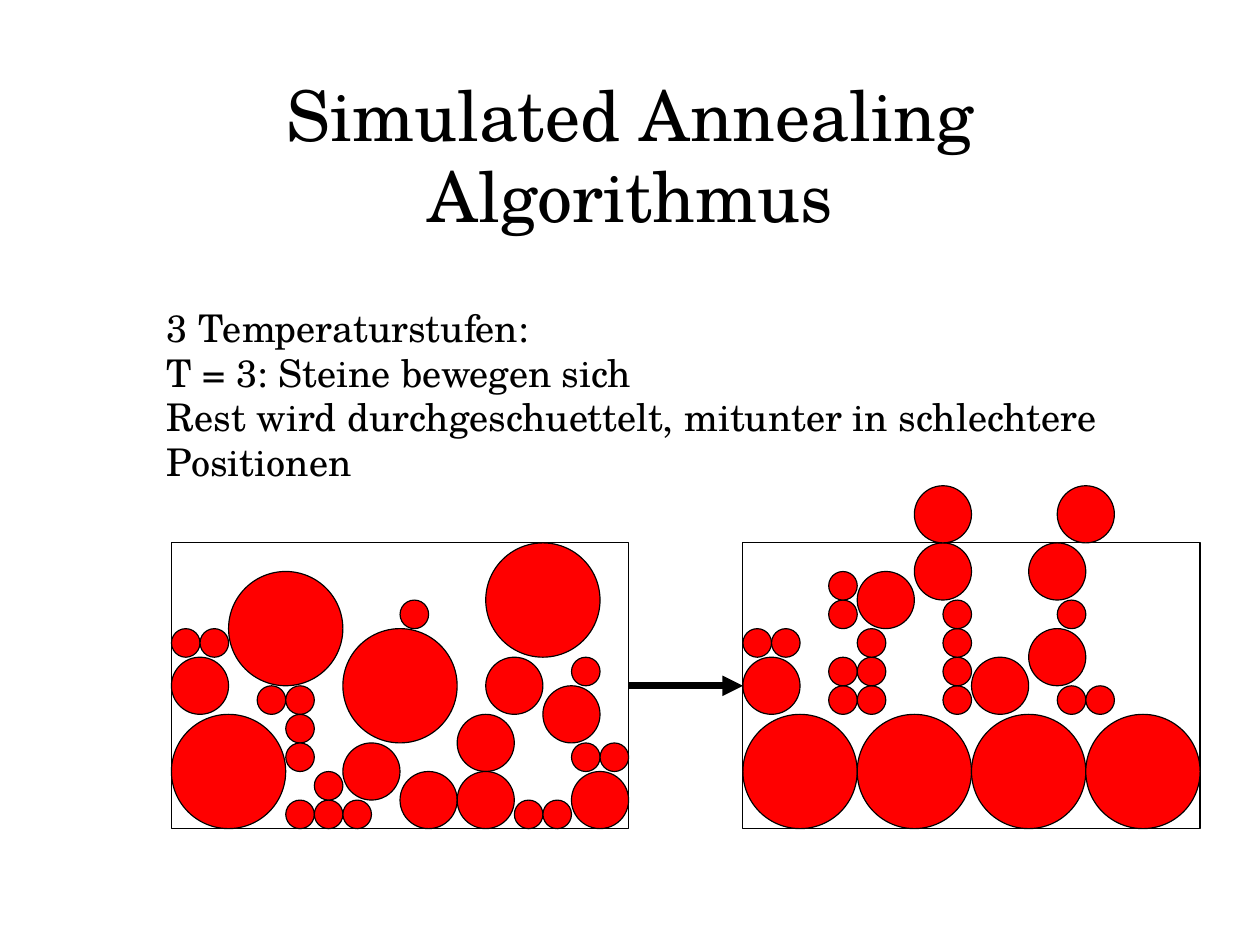
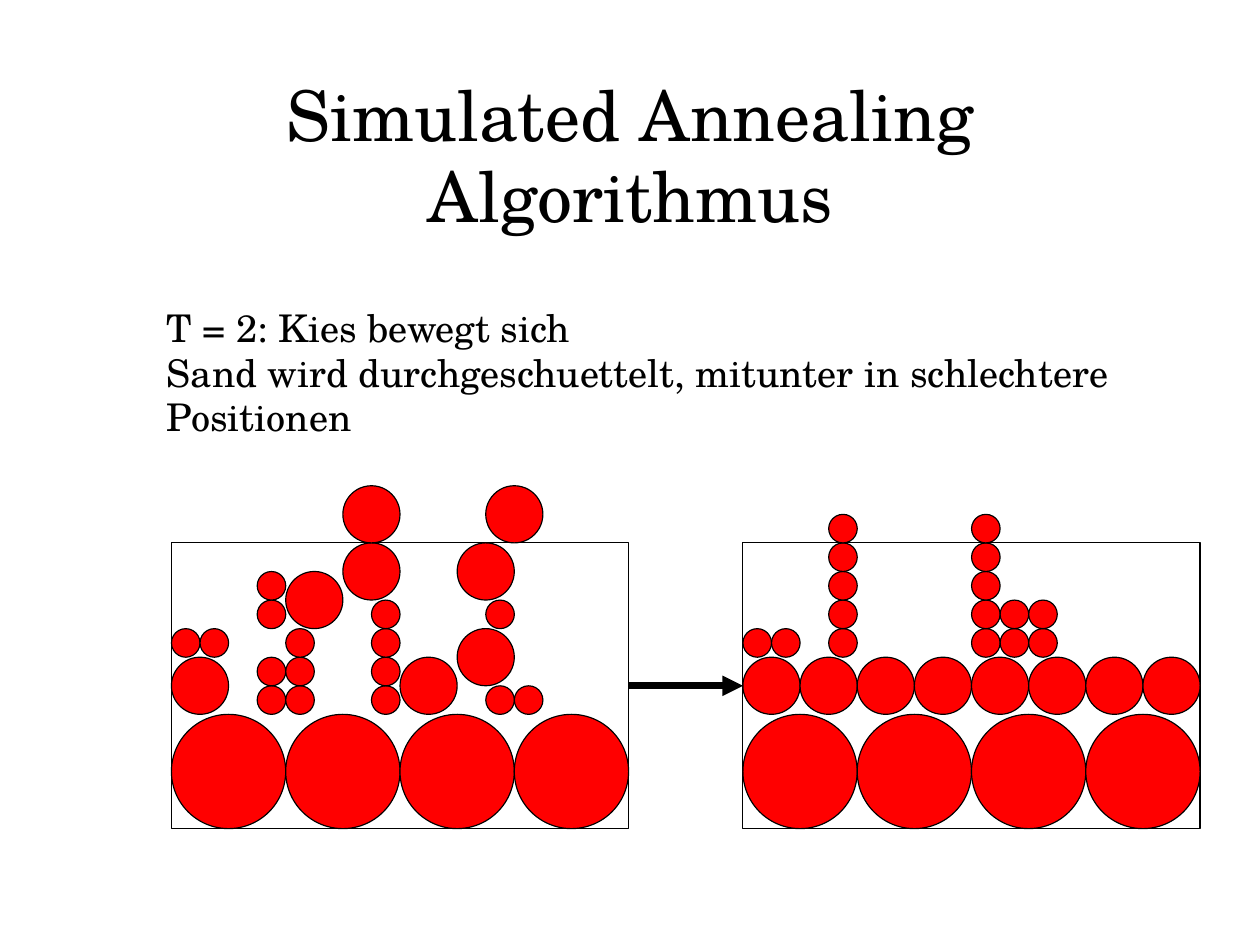
import itertools

import lxml.etree
import pptx
import pptx.dml.color
import pptx.enum.shapes
import pptx.enum.text
import pptx.oxml.ns
import pptx.util

Inches = pptx.util.Inches
ALIGN = pptx.enum.text.PP_ALIGN
ANCHOR = pptx.enum.text.MSO_ANCHOR
SHAPES = pptx.enum.shapes.MSO_SHAPE

# Shared layout, in inches
GRID = 0.25
BOX_TOP, BOX_WIDTH, BOX_HEIGHT = 4.75, 4, 2.5
FLOOR = BOX_TOP + BOX_HEIGHT
BEFORE_LEFT, AFTER_LEFT = 1.5, 6.5

# Stones, gravel and sand: diameter in grid cells -> (column, height above floor)
STONE, GRAVEL, SAND = 4, 2, 1
STONE_LAYER = [(column, 0) for column in range(0, 16, STONE)]

MIXED = {
    STONE: [(0, 0), (6, 3), (11, 6), (2, 5)],
    GRAVEL: [(0, 4), (14, 0), (8, 0), (6, 1), (10, 2), (10, 0), (13, 3), (11, 4)],
    SAND: [(0, 6), (1, 6), (3, 4), (4, 4), (4, 3), (4, 2), (4, 0), (5, 0), (6, 0),
           (5, 1), (8, 7), (12, 0), (13, 0), (14, 2), (15, 2), (14, 5)],
}
STONES_SETTLED = {
    STONE: STONE_LAYER,
    GRAVEL: [(0, 4), (4, 7), (6, 8), (6, 10), (8, 4), (10, 5), (10, 8), (11, 10)],
    SAND: [(0, 6), (1, 6), (3, 4), (3, 5), (3, 7), (3, 8), (4, 4), (4, 5), (4, 6),
           (7, 4), (7, 5), (7, 6), (7, 7), (11, 4), (12, 4), (11, 7)],
}
GRAVEL_SETTLED = {
    STONE: STONE_LAYER,
    GRAVEL: [(column, 4) for column in range(0, 16, GRAVEL)],
    SAND: [(0, 6), (1, 6),
           *itertools.product((3, 8), range(6, 11)),
           *itertools.product((9, 10), (6, 7))],
}

STEPS = [
    (["3 Temperaturstufen:",
      "T = 3: Steine bewegen sich",
      "Rest wird durchgeschuettelt, mitunter in schlechtere",
      "Positionen"], MIXED, STONES_SETTLED),
    (["T = 2: Kies bewegt sich",
      "Sand wird durchgeschuettelt, mitunter in schlechtere",
      "Positionen"], STONES_SETTLED, GRAVEL_SETTLED),
]


def rgb(value):
    return pptx.dml.color.RGBColor.from_string(value)


def apply(target, values):
    for name, value in values.items():
        setattr(target, name, value)


class Deck:
    INK, GRAIN = "000000", "FF0000"
    OUTLINE, ARROW = pptx.util.Pt(0.75), pptx.util.Pt(4.31)
    FRAME = {"word_wrap": True, "margin_left": 0, "margin_right": 0,
             "margin_top": 0, "margin_bottom": 0}
    FONT = {"name": "TeX Gyre Schola"}

    def __init__(self):
        self.presentation = pptx.Presentation()
        # The page is a metric format, 28 by 21 cm
        apply(self.presentation, {"slide_width": pptx.util.Cm(28),
                                  "slide_height": pptx.util.Cm(21)})
        self.slide = None

    def new_slide(self):
        blank = self.presentation.slide_layouts[6]
        self.slide = self.presentation.slides.add_slide(blank)

    def text(self, lines, area, size, align, anchor):
        frame = self.slide.shapes.add_textbox(*map(Inches, area)).text_frame
        apply(frame, {**self.FRAME, "vertical_anchor": anchor})
        frame.text = "\n".join(lines)
        for paragraph in frame.paragraphs:
            apply(paragraph, {"alignment": align, "line_spacing": 0.97})
            apply(paragraph.font, {**self.FONT, "size": pptx.util.Pt(size)})
            paragraph.font.color.rgb = rgb(self.INK)

    def title(self, words):
        self.text([words], (0.81, 0.66, 9.41, 1.44), 44, ALIGN.CENTER, ANCHOR.MIDDLE)

    def body(self, lines):
        self.text(lines, (1.46, 2.69, 9.1, 0.39 * len(lines)), 24,
                  ALIGN.LEFT, ANCHOR.TOP)

    def outlined(self, kind, area, fill=None):
        shape = self.slide.shapes.add_shape(kind, *map(Inches, area))
        shape.shadow.inherit = False
        if fill:
            shape.fill.solid()
            shape.fill.fore_color.rgb = rgb(fill)
        else:
            shape.fill.background()
        shape.line.color.rgb = rgb(self.INK)
        shape.line.width = self.OUTLINE
        return shape

    def container(self, left, grains):
        box = self.outlined(SHAPES.RECTANGLE, (left, BOX_TOP, BOX_WIDTH, BOX_HEIGHT))
        for cells, places in grains.items():
            diameter = cells * GRID
            for column, height in places:
                self.outlined(SHAPES.OVAL,
                              (left + column * GRID, FLOOR - height * GRID - diameter,
                               diameter, diameter), self.GRAIN)
        return box

    def arrow(self, start, end):
        arrow = self.slide.shapes.add_connector(
            pptx.enum.shapes.MSO_CONNECTOR.STRAIGHT, 0, 0, 0, 0)
        arrow.begin_connect(start, 3)
        arrow.end_connect(end, 1)
        arrow.line.color.rgb = rgb(self.INK)
        arrow.line.width = self.ARROW
        # Arrowhead, and no theme shadow
        qn = pptx.oxml.ns.qn
        outline = arrow.line._get_or_add_ln()
        lxml.etree.SubElement(outline, qn("a:tailEnd"), type="triangle")
        lxml.etree.SubElement(outline.getparent(), qn("a:effectLst"))


def main():
    deck = Deck()
    for lines, before, after in STEPS:
        deck.new_slide()
        deck.title("Simulated Annealing Algorithmus")
        deck.body(lines)
        before_box = deck.container(BEFORE_LEFT, before)
        after_box = deck.container(AFTER_LEFT, after)
        deck.arrow(before_box, after_box)
    deck.presentation.save("out.pptx")


if __name__ == "__main__":
    main()
